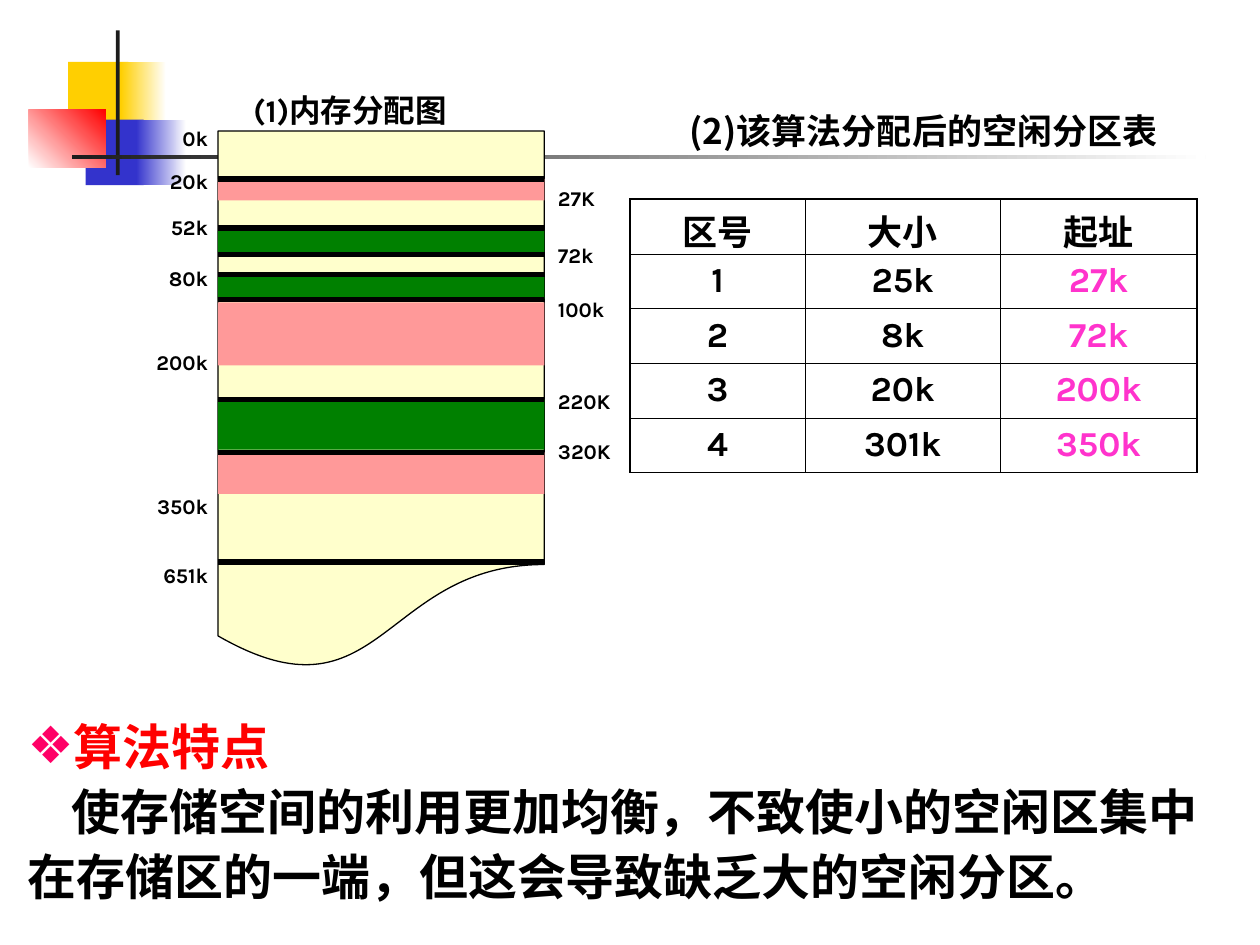
"""Build the slide on memory allocation and the table of free partitions."""
from lxml.etree import SubElement
from pptx import Presentation
from pptx.dml.color import RGBColor
from pptx.enum.shapes import MSO_CONNECTOR, MSO_SHAPE
from pptx.enum.text import MSO_ANCHOR, MSO_AUTO_SIZE, PP_ALIGN
from pptx.oxml.ns import qn
from pptx.util import Inches, Pt

HUES = {
    "black": "000000", "ink": "1C1C1C", "white": "FFFFFF", "gold": "FFCF01",
    "blue": "3333CC", "red": "FF0000", "rose": "FF0066", "pink": "FF33CC",
    "cream": "FFFFCC", "free": "FF9999", "used": "008000",
}
KARLA, NOTO = "Karla", "Noto Sans CJK SC"

deck = Presentation()
deck.slide_width, deck.slide_height = Inches(10), Inches(7.5)
COL, ROW = deck.slide_width / 100, deck.slide_height / 75
slide = deck.slides.add_slide(deck.slide_layouts[1])
shapes = slide.shapes
title, body = shapes.title, slide.placeholders[1]


def place(x, y, w, h):
    return round(x * COL), round(y * ROW), round(w * COL), round(h * ROW)


def style(para, size, face, hue="black", align=PP_ALIGN.LEFT):
    para.alignment = align
    for run in para.runs:
        font = run.font
        font.size, font.bold, font.name = Pt(size), True, face
        font.color.rgb = RGBColor.from_string(HUES[hue])
        SubElement(font._element, qn("a:ea"), typeface=face)


# MARK
decor = [
    (5.4, 4.9, 4.8, 5.2, "gold", "gold", 0),
    (9.6, 4.9, 3.6, 5.2, "gold", "white", 0),
    (6.8, 9.5, 4.6, 5.2, "blue", "blue", 0),
    (10.8, 9.5, 4, 5.2, "blue", "white", 0),
    (2.3, 8.7, 6.1, 4.6, "white", "red", 45),
    (9.2, 2.4, 0.3, 11.5, "ink", "ink", 0),
    (5.7, 12.3, 90, 0.3, "ink", "white", 0),
]
memory = [
    (MSO_SHAPE.FLOWCHART_DOCUMENT, 10.4, 42.9, "cream"),
    (MSO_SHAPE.RECTANGLE, 14.2, 1.7, "free"),
    (MSO_SHAPE.RECTANGLE, 18.3, 1.7, "used"),
    (MSO_SHAPE.RECTANGLE, 22, 1.7, "used"),
    (MSO_SHAPE.RECTANGLE, 24, 5, "free"),
    (MSO_SHAPE.RECTANGLE, 31.7, 4, "used"),
    (MSO_SHAPE.RECTANGLE, 35.9, 3.3, "free"),
]

for x, y, w, h, start, end, angle in decor:
    rect = shapes.add_shape(MSO_SHAPE.RECTANGLE, *place(x, y, w, h))
    rect.shadow.inherit = False
    rect.line.fill.background()
    if start == end:
        rect.fill.solid()
        rect.fill.fore_color.rgb = RGBColor.from_string(HUES[start])
    else:
        rect.fill.gradient()
        rect.fill.gradient_angle = angle
        for stop, hue, spot in zip(rect.fill.gradient_stops, (start, end), (0, 1)):
            stop.color.rgb = RGBColor.from_string(HUES[hue])
            stop.position = spot

for kind, y, h, hue in memory:
    block = shapes.add_shape(kind, *place(17.3, y, 25.9, h))
    block.shadow.inherit = False
    block.fill.solid()
    block.fill.fore_color.rgb = RGBColor.from_string(HUES[hue])
    if hue == "cream":
        block.line.color.rgb = RGBColor.from_string(HUES["black"])
        block.line.width = Pt(0.75)
    else:
        block.line.fill.background()

for y in (14.2, 18.1, 20.2, 21.8, 23.8, 31.7, 35.9, 44.6):
    left, top, width, _ = place(17.3, y, 25.9, 0)
    rule = shapes.add_connector(MSO_CONNECTOR.STRAIGHT, left, top, left + width, top)
    rule.line.color.rgb = RGBColor.from_string(HUES["black"])
    rule.line.width = Pt(3)
    SubElement(rule._element.spPr, qn("a:effectLst"))

scales = [
    (6.7, 10.8, PP_ALIGN.RIGHT, [
        ("0k", 10.95), ("20k", 14.35), ("52k", 17.9), ("80k", 21.9),
        ("200k", 28.5), ("350k", 39.9), ("651k", 45.3)]),
    (43.3, 8.2, PP_ALIGN.LEFT, [
        ("27K", 15.7), ("72k", 20.2), ("100k", 24.4), ("220K", 31.7), ("320K", 35.6)]),
]
for x, w, align, marks in scales:
    first, last = marks[0][1], marks[-1][1]
    frame = shapes.add_textbox(*place(x, first - 1.5, w, last - first + 3)).text_frame
    frame.word_wrap = True
    frame.text = "\n".join(name for name, _ in marks)
    prior = first
    for para, (_, y) in zip(frame.paragraphs, marks):
        style(para, 12, KARLA, align=align)
        if y > prior:
            para.space_before = Pt(round((y - prior) * 7.2 - 14, 1))
        prior = y

frame = shapes.add_textbox(*place(19.1, 6.7, 22.2, 4)).text_frame
frame.word_wrap = True
frame.text = "(1)内存分配图"
style(frame.paragraphs[0], 18, KARLA)

shapes.element.append(title.element)
title.left, title.top, title.width, title.height = place(48.3, 8.2, 50, 5)
title.text_frame.text = "(2)该算法分配后的空闲分区表"
style(title.text_frame.paragraphs[0], 20, NOTO, align=PP_ALIGN.CENTER)

body.left, body.top, body.width, body.height = place(1.2, 55.9, 97.3, 16.4)
body.text_frame.text = (
    "算法特点\n使存储空间的利用更加均衡，不致使小的空闲区集中在存储区的一端，但这会导致缺乏大的空闲分区。")
for para, hue, dent in zip(body.text_frame.paragraphs, ("red", "black"), (0, 3.5)):
    props = para._p.get_or_add_pPr()
    props.set("marL", "0")
    props.set("indent", str(round(dent * COL)))
    if hue == "red":
        tint = SubElement(props, qn("a:buClr"))
        SubElement(tint, qn("a:srgbClr"), val=HUES["rose"])
        SubElement(props, qn("a:buSzPct"), val="105000")
        SubElement(props, qn("a:buChar"), char="❖")
    else:
        SubElement(props, qn("a:buNone"))
    para.line_spacing, para.space_before = Pt(37), Pt(0)
    style(para, 28, NOTO, hue)
for holder in (title, body):
    holder.text_frame.auto_size = MSO_AUTO_SIZE.NONE
    holder.text_frame.vertical_anchor = MSO_ANCHOR.TOP

rows = [
    ("区号", "大小", "起址"), ("1", "25k", "27k"), ("2", "8k", "72k"),
    ("3", "20k", "200k"), ("4", "301k", "350k"),
]
grid = shapes.add_table(5, 3, *place(50, 15.8, 45, 21.7)).table
grid.first_row = grid.horz_banding = False
for column, width in zip(grid.columns, (13.9, 15.5, 15.6)):
    column.width = round(width * COL)
for r, words in enumerate(rows):
    grid.rows[r].height = round(4.34 * ROW)
    for c, word in enumerate(words):
        cell = grid.cell(r, c)
        cell.text = word
        cell.margin_top = round((0.5 if r else 1.1) * ROW)
        cell.margin_bottom = 0
        hue = "pink" if r and c == 2 else "black"
        style(cell.text_frame.paragraphs[0], 20, KARLA, hue, PP_ALIGN.CENTER)
        props = cell._tc.get_or_add_tcPr()
        sides = {"a:lnL": c == 0, "a:lnR": c == 2, "a:lnT": r == 0, "a:lnB": r == 4}
        for side, outer in sides.items():
            edge = SubElement(props, qn(side), w=str(Pt(1.08 if outer else 0.45)))
            paint = SubElement(edge, qn("a:solidFill"))
            SubElement(paint, qn("a:srgbClr"), val=HUES["black"])
        cell.fill.background()

deck.save("out.pptx")
